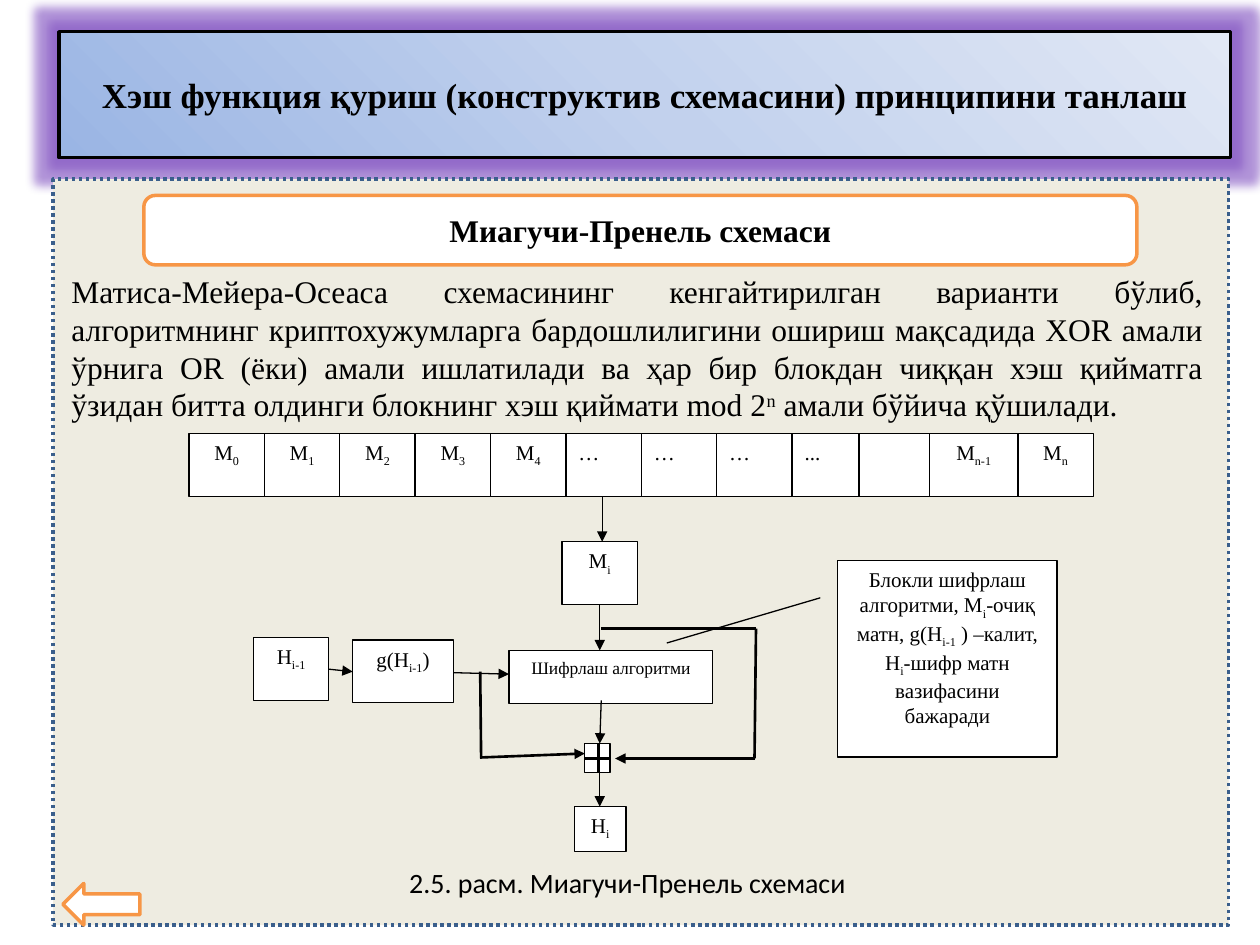
from dataclasses import dataclass

from lxml import etree
from pptx import Presentation
from pptx.dml.color import RGBColor
from pptx.enum.dml import MSO_LINE
from pptx.enum.shapes import MSO_CONNECTOR, MSO_SHAPE
from pptx.enum.text import MSO_ANCHOR, PP_ALIGN
from pptx.oxml import parse_xml
from pptx.oxml.ns import qn
from pptx.util import Cm, Pt

RECT, ROUNDED = MSO_SHAPE.RECTANGLE, MSO_SHAPE.ROUNDED_RECTANGLE
CALLOUT, LEFT_ARROW = MSO_SHAPE.LINE_CALLOUT_1, MSO_SHAPE.LEFT_ARROW
LEFT, CENTER, JUSTIFY = PP_ALIGN.LEFT, PP_ALIGN.CENTER, PP_ALIGN.JUSTIFY
TOP, MIDDLE = MSO_ANCHOR.TOP, MSO_ANCHOR.MIDDLE
STRAIGHT = MSO_CONNECTOR.STRAIGHT
DOTTED = MSO_LINE.ROUND_DOT
MAIN_NS = "http://schemas.openxmlformats.org/drawingml/2006/main"


@dataclass(frozen=True)
class Theme:
    serif: str = "Times New Roman"
    sans: str = "Calibri"
    black: str = "000000"
    white: str = "FFFFFF"
    panel: str = "EEECE1"
    panel_line: str = "3A5F8C"
    orange: str = "F79646"
    glow: str = "7F4FC0"
    gradient: tuple = ((0, "9AB5E4"), (50, "C2D1ED"), (100, "E1E8F5"))
    title_size: int = 20
    body_size: int = 18
    caption_size: int = 16
    node_size: int = 12
    small_size: int = 10
    thin: float = 0.75
    thick: float = 1.5
    frame: float = 2


THEME = Theme()

# Odd parts between bars are set as subscript or superscript.
TITLE = "Хэш функция қуриш (конструктив схемасини) принципини танлаш"
SUBTITLE = "Миагучи-Пренель схемаси"
BODY = (
    "Матиса-Мейера-Осеаса схемасининг кенгайтирилган варианти бўлиб, "
    "алгоритмнинг криптохужумларга бардошлилигини ошириш мақсадида XOR амали "
    "ўрнига OR (ёки) амали ишлатилади ва ҳар бир блокдан чиққан хэш қийматга "
    "ўзидан битта олдинги блокнинг хэш қиймати mod 2|n| амали бўйича қўшилади."
)
CAPTION = "2.5. расм. Миагучи-Пренель схемаси"
CALLOUT_TEXT = (
    "Блокли шифрлаш алгоритми, M|i|-очиқ матн, g(H|i-1| ) –калит, "
    "H|i|-шифр матн вазифасини бажаради"
)

CELL = 1.52
ROW_LEFT, ROW_TOP, ROW_HEIGHT = 3.81, 8.74, 1.27
MESSAGE_CELLS = [
    *((f"М|{index}", CELL, CELL, CENTER) for index in range(5)),
    *(("…", CELL, CELL, LEFT) for _ in range(3)),
    ("...", CELL, 1.35, LEFT),
    ("", 1.68, 1.42, LEFT),
    ("М|n-1", 1.78, 1.78, CENTER),
    ("М|n", CELL, CELL, CENTER),
]
NODES = [
    ("g(H|i-1|)", (7.11, 12.9, 2.03, 1.27), THEME.node_size),
    ("Шифрлаш алгоритми", (10.26, 13.11, 4.11, 1.07), THEME.small_size),
    ("М|i", (11.33, 10.92, CELL, 1.27), THEME.node_size),
    ("H|i", (11.58, 16.26, 1.04, 0.91), THEME.node_size),
    ("H|i-1", (5.11, 12.85, CELL, 1.27), THEME.node_size),
    ("", (11.79, 14.99, 0.51, 0.58), THEME.node_size),
]
THIN_ARROWS = [
    (12.14, 10.01, 12.14, 10.92),
    (12.09, 12.19, 12.09, 13.11),
    (12.12, 14.12, 12.09, 14.99),
    (12.09, 15.49, 12.09, 16.26),
    (6.63, 13.49, 7.11, 13.54),
    (9.14, 13.56, 10.26, 13.59),
]
THICK_ARROWS = [(15.21, 15.29, 12.4, 15.29), (9.68, 15.27, 11.79, 15.19)]
THICK_LINES = [
    (12.12, 12.67, 15.24, 12.67),
    (15.24, 12.67, 15.21, 15.29),
    (9.68, 13.54, 9.7, 15.29),
    (12.07, 14.99, 12.07, 15.57),
    (11.79, 15.29, 12.32, 15.29),
]


def write(box, text, size, font=THEME.serif, align=CENTER, anchor=TOP,
          bold=False, shift=-25000):
    frame = box.text_frame
    frame.word_wrap = True
    frame.vertical_anchor = anchor
    para = frame.paragraphs[0]
    para.alignment = align
    for index, part in enumerate(text.split("|")):
        if not part:
            continue
        span = para.add_run()
        span.text = part
        span.font.name = font
        span.font.size = Pt(size)
        span.font.bold = bold
        span.font.color.rgb = RGBColor.from_string(THEME.black)
        if index % 2:
            span.font._element.set("baseline", str(shift))


def add_box(page, area, kind=RECT, fill=THEME.white, line=THEME.black, width=THEME.thin):
    box = page.shapes.add_shape(kind, *map(Cm, area))
    box.shadow.inherit = False
    box.fill.solid()
    box.fill.fore_color.rgb = RGBColor.from_string(fill)
    box.line.color.rgb = RGBColor.from_string(line)
    box.line.width = Pt(width)
    return box


def add_text(page, area, text, size, **style):
    write(page.shapes.add_textbox(*map(Cm, area)), text, size, **style)


def add_line(page, ends, width, arrow=False):
    line = page.shapes.add_connector(STRAIGHT, *map(Cm, ends))
    line.line.color.rgb = RGBColor.from_string(THEME.black)
    line.line.width = Pt(width)
    if arrow:
        etree.SubElement(line.line._get_or_add_ln(), qn("a:tailEnd"), type="triangle")
    etree.SubElement(line._element.spPr, qn("a:effectLst"))


def decorate_title(box):
    properties = box._element.spPr
    stops = "".join(
        f'<a:gs pos="{place * 1000}"><a:srgbClr val="{color}"/></a:gs>'
        for place, color in THEME.gradient
    )
    gradient = parse_xml(
        f'<a:gradFill xmlns:a="{MAIN_NS}"><a:gsLst>{stops}</a:gsLst>'
        '<a:path path="circle"><a:fillToRect t="100000" r="100000"/></a:path></a:gradFill>'
    )
    properties.replace(properties.find(qn("a:solidFill")), gradient)
    properties.find(qn("a:effectLst")).append(parse_xml(
        f'<a:glow xmlns:a="{MAIN_NS}" rad="{Pt(11)}"><a:srgbClr val="{THEME.glow}">'
        '<a:alpha val="60000"/></a:srgbClr></a:glow>'
    ))


def add_headings(page):
    title = add_box(page, (1.19, 0.64, 23.62, 2.54), width=THEME.frame)
    decorate_title(title)
    write(title, TITLE, THEME.title_size, anchor=MIDDLE, bold=True)
    panel = add_box(page, (1.07, 3.61, 23.7, 15.04), fill=THEME.panel,
                    line=THEME.panel_line, width=THEME.frame)
    panel.line.dash_style = DOTTED
    subtitle = add_box(page, (2.9, 3.94, 20.02, 1.4), ROUNDED,
                       line=THEME.orange, width=THEME.frame)
    write(subtitle, SUBTITLE, THEME.body_size, anchor=MIDDLE, bold=True)
    add_text(page, (6.96, 17.32, 11.38, 1.63), CAPTION, THEME.caption_size, font=THEME.sans)


def add_diagram(page):
    for text, area, size in NODES:
        write(add_box(page, area), text, size)
    callout = add_box(page, (16.89, 11.3, 4.42, 3.96), CALLOUT)
    for index, value in enumerate((0.19, -0.08, 0.42, -0.78)):
        callout.adjustments[index] = value
    write(callout, CALLOUT_TEXT, THEME.node_size)
    left = ROW_LEFT
    for text, width, step, align in MESSAGE_CELLS:
        cell = add_box(page, (left, ROW_TOP, width, ROW_HEIGHT))
        write(cell, text, THEME.node_size, align=align)
        left += step
    for ends in THIN_ARROWS:
        add_line(page, ends, THEME.thin, arrow=True)
    for ends in THICK_LINES:
        add_line(page, ends, THEME.thick)
    for ends in THICK_ARROWS:
        add_line(page, ends, THEME.thick, arrow=True)


def main():
    deck = Presentation()
    deck.slide_width, deck.slide_height = Cm(25.4), Cm(19.05)
    page = deck.slides.add_slide(deck.slide_layouts[6])
    add_headings(page)
    add_diagram(page)
    add_text(page, (1.19, 5.36, 23.32, 3.33), BODY, THEME.body_size,
             align=JUSTIFY, shift=30000)
    add_box(page, (1.27, 17.81, 1.55, 0.84), LEFT_ARROW,
            line=THEME.orange, width=THEME.frame)
    deck.save("out.pptx")


if __name__ == "__main__":
    main()
